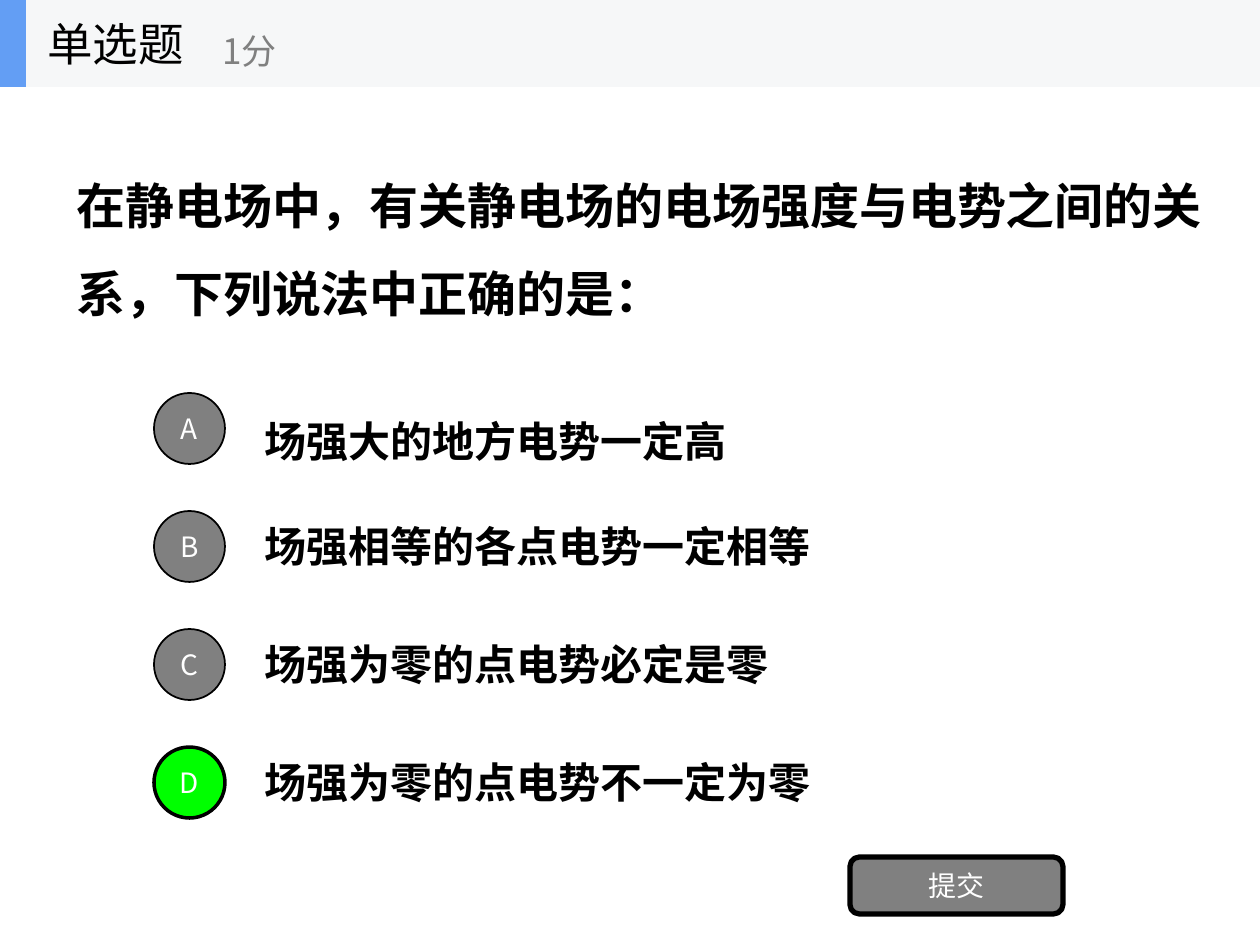
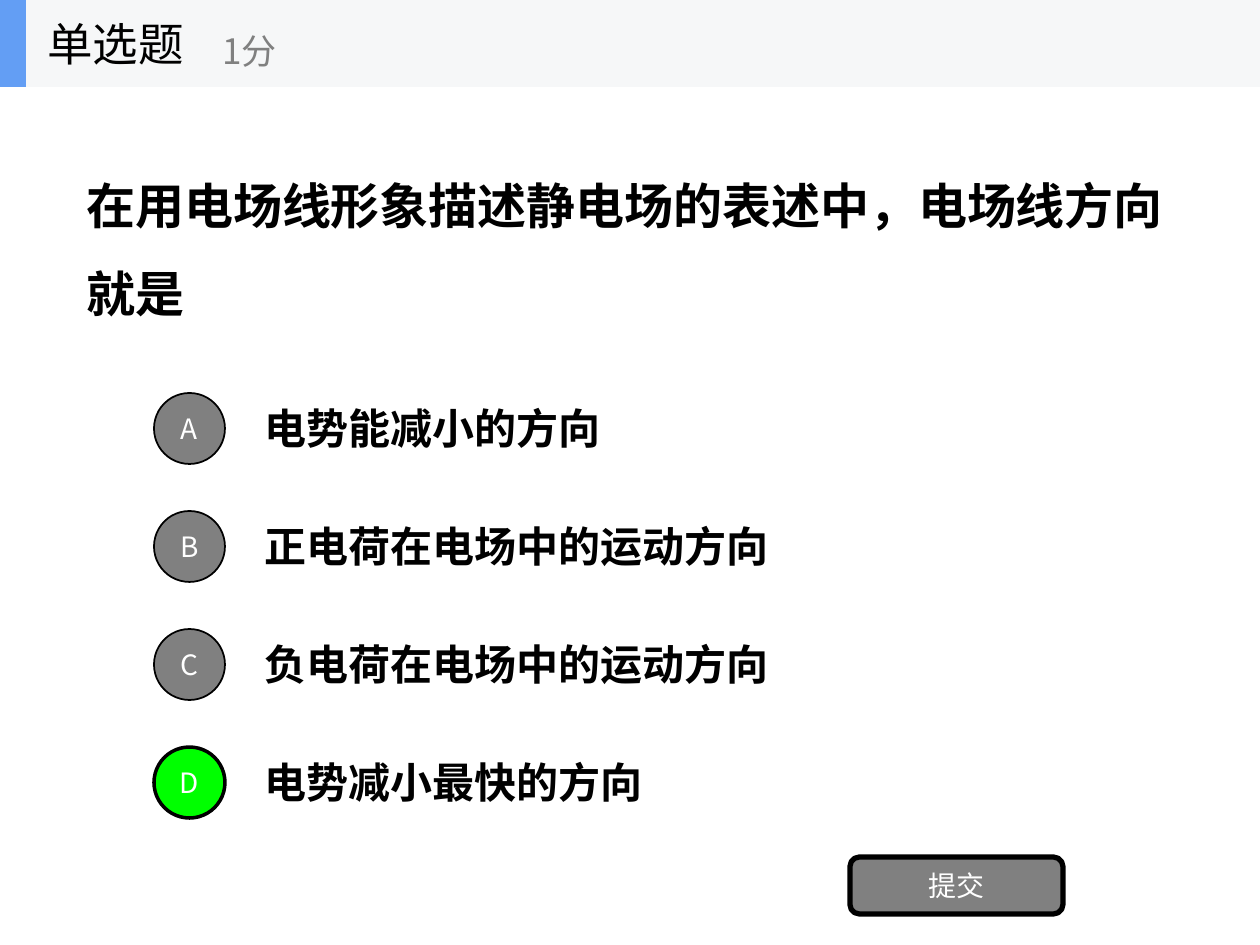
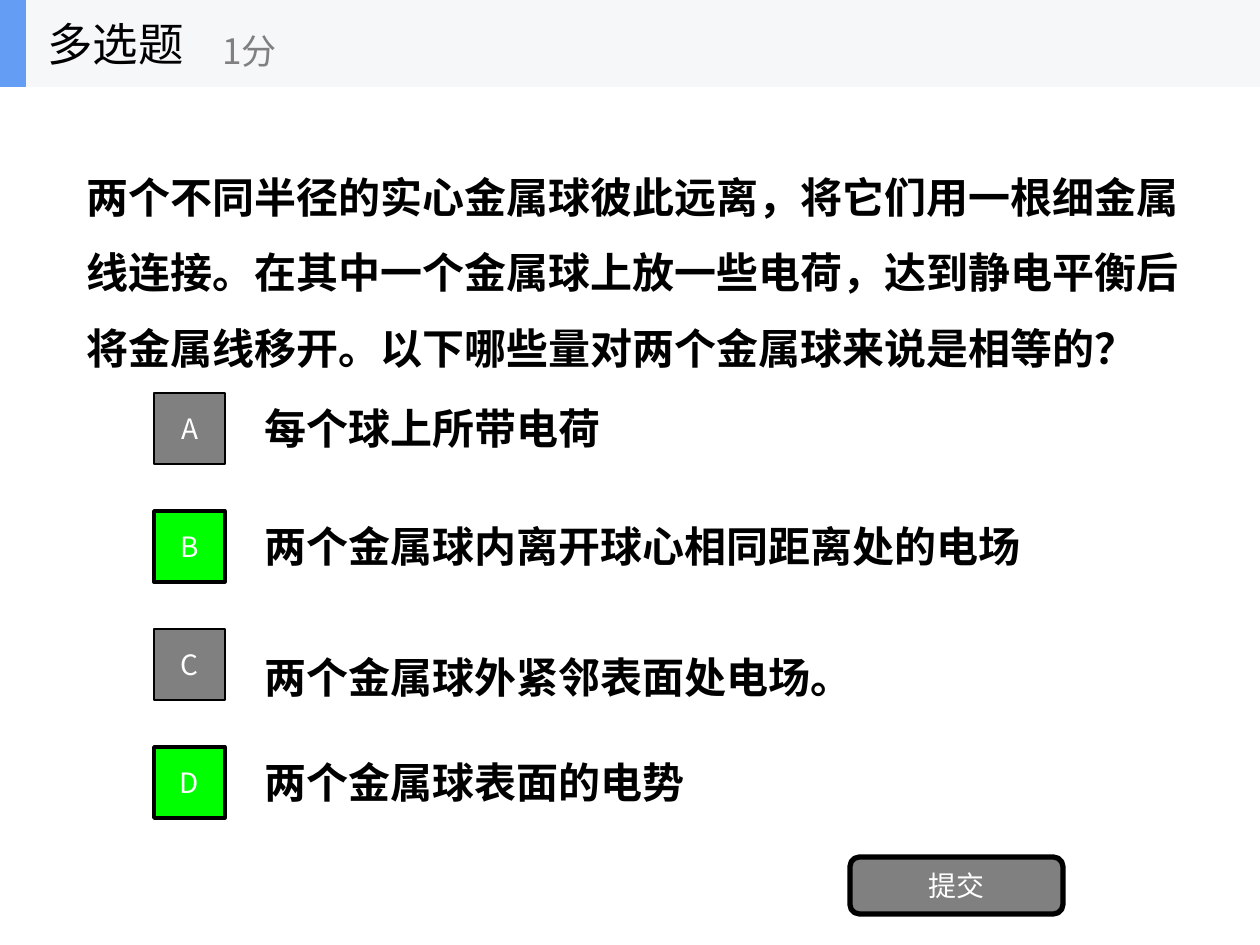
from lxml import etree
from pptx import Presentation
from pptx import util as u
from pptx.dml.color import RGBColor
from pptx.enum import lang, shapes, text
from pptx.oxml import ns

# Content: the 1.5-spaced options are listed by letter under "loose"
QUESTIONS = [
    {
        "kind": "单选题",
        "question": "在静电场中，有关静电场的电场强度与电势之间的关系，下列说法中正确的是：",
        "box": (64, 87, 1160, 295),
        "size": 28,
        "options": ["场强大的地方电势一定高", "场强相等的各点电势一定相等",
                    "场强为零的点电势必定是零", "场强为零的点电势不一定为零"],
        "correct": "D",
        "loose": "A",
    },
    {
        "kind": "单选题",
        "question": "在用电场线形象描述静电场的表述中，电场线方向就是",
        "box": (74, 87, 1131, 295),
        "size": 28,
        "options": ["电势能减小的方向", "正电荷在电场中的运动方向",
                    "负电荷在电场中的运动方向", "电势减小最快的方向"],
        "correct": "D",
        "loose": "",
    },
    {
        "kind": "多选题",
        "question": "两个不同半径的实心金属球彼此远离，将它们用一根细金属线连接。"
                    "在其中一个金属球上放一些电荷，达到静电平衡后将金属线移开。"
                    "以下哪些量对两个金属球来说是相等的？",
        "box": (74, 112, 1131, 295),
        "size": 24,
        "options": ["每个球上所带电荷", "两个金属球内离开球心相同距离处的电场",
                    "两个金属球外紧邻表面处电场。", "两个金属球表面的电势"],
        "correct": "BD",
        "loose": "C",
    },
]
SCORE = "1分"
SUBMIT = "提交"

# Shared style
BLACK = RGBColor(0x00, 0x00, 0x00)
WHITE = RGBColor(0xFF, 0xFF, 0xFF)
GREY = RGBColor(0x80, 0x80, 0x80)
GREEN = RGBColor(0x00, 0xFF, 0x00)
BAND = RGBColor(0xF6, 0xF7, 0xF8)
ACCENT = RGBColor(0x63, 0x9E, 0xF4)
BODY_FONT = "Calibri"
UI_FONT = "Noto Sans CJK SC"
SHAPE = shapes.MSO_SHAPE
MARKERS = {"单选题": SHAPE.OVAL, "多选题": SHAPE.RECTANGLE}

# Layout in px
PX_PER_INCH = 126
WIDTH, HEIGHT = 1260, 945
BAND_HEIGHT = 87
OPTION_TOP, OPTION_STEP, OPTION_HEIGHT = 384, 118, 88
MARKER_SIZE = 71
MARKER_OFFSET = 9


def px(*lengths):
    return [u.Emu(round(length * u.Inches(1) / PX_PER_INCH)) for length in lengths]


def write(shape, content, size, color=BLACK, font=UI_FONT, bold=False,
          centered=False, spacing=None):
    frame = shape.text_frame
    frame.word_wrap = True
    frame.vertical_anchor = text.MSO_ANCHOR.MIDDLE
    paragraph = frame.paragraphs[0]
    paragraph.alignment = text.PP_ALIGN.CENTER if centered else text.PP_ALIGN.LEFT
    paragraph.line_spacing = spacing
    run = paragraph.add_run()
    run.text = content
    run.font.size = u.Pt(size)
    run.font.bold = bold
    run.font.color.rgb = color
    run.font.name = font
    run.font.language_id = lang.MSO_LANGUAGE_ID.SIMPLIFIED_CHINESE
    east_asian = etree.SubElement(run._r.get_or_add_rPr(), ns.qn("a:ea"))
    east_asian.set("typeface", UI_FONT)


def add_text(parent, box, content, size, **style):
    write(parent.shapes.add_textbox(*px(*box)), content, size, **style)


def add_block(parent, preset, box, fill, line_width=0, label=""):
    shape = parent.shapes.add_shape(preset, *px(*box))
    shape.shadow.inherit = False
    shape.fill.solid()
    shape.fill.fore_color.rgb = fill
    if line_width:
        shape.line.color.rgb = BLACK
        shape.line.width = u.Pt(line_width)
    else:
        shape.line.fill.background()
    if label:
        write(shape, label, 16, color=WHITE, centered=True)


def add_header(slide, kind):
    header = slide.shapes.add_group_shape()
    add_block(header, SHAPE.RECTANGLE, (0, 0, WIDTH, BAND_HEIGHT), BAND)
    add_block(header, SHAPE.RECTANGLE, (0, 0, 26, BAND_HEIGHT), ACCENT)
    add_text(header, (35, 0, 262, BAND_HEIGHT), kind, 26)
    add_text(header, (210, 15, 315, 71), SCORE, 20, color=GREY)


def add_option(slide, index, option, item):
    letter = "ABCD"[index]
    top = OPTION_TOP + index * OPTION_STEP
    correct = letter in item["correct"]
    add_text(slide, (252, top, 882, OPTION_HEIGHT), option, 24, font=BODY_FONT,
             bold=True, spacing=1.5 if letter in item["loose"] else None)
    add_block(slide, MARKERS[item["kind"]],
              (154, top + MARKER_OFFSET, MARKER_SIZE, MARKER_SIZE),
              GREEN if correct else GREY, 2 if correct else 1, letter)


def add_question(presentation, item):
    slide = presentation.slides.add_slide(presentation.slide_layouts[6])
    add_text(slide, item["box"], item["question"], item["size"],
             font=BODY_FONT, bold=True, spacing=1.5)
    for index, option in enumerate(item["options"]):
        add_option(slide, index, option, item)
    add_block(slide, SHAPE.ROUNDED_RECTANGLE, (850, 857, 213, 57), GREY, 3, SUBMIT)
    add_header(slide, item["kind"])


def main():
    presentation = Presentation()
    presentation.slide_width, presentation.slide_height = px(WIDTH, HEIGHT)
    for item in QUESTIONS:
        add_question(presentation, item)
    presentation.save("out.pptx")


if __name__ == "__main__":
    main()
